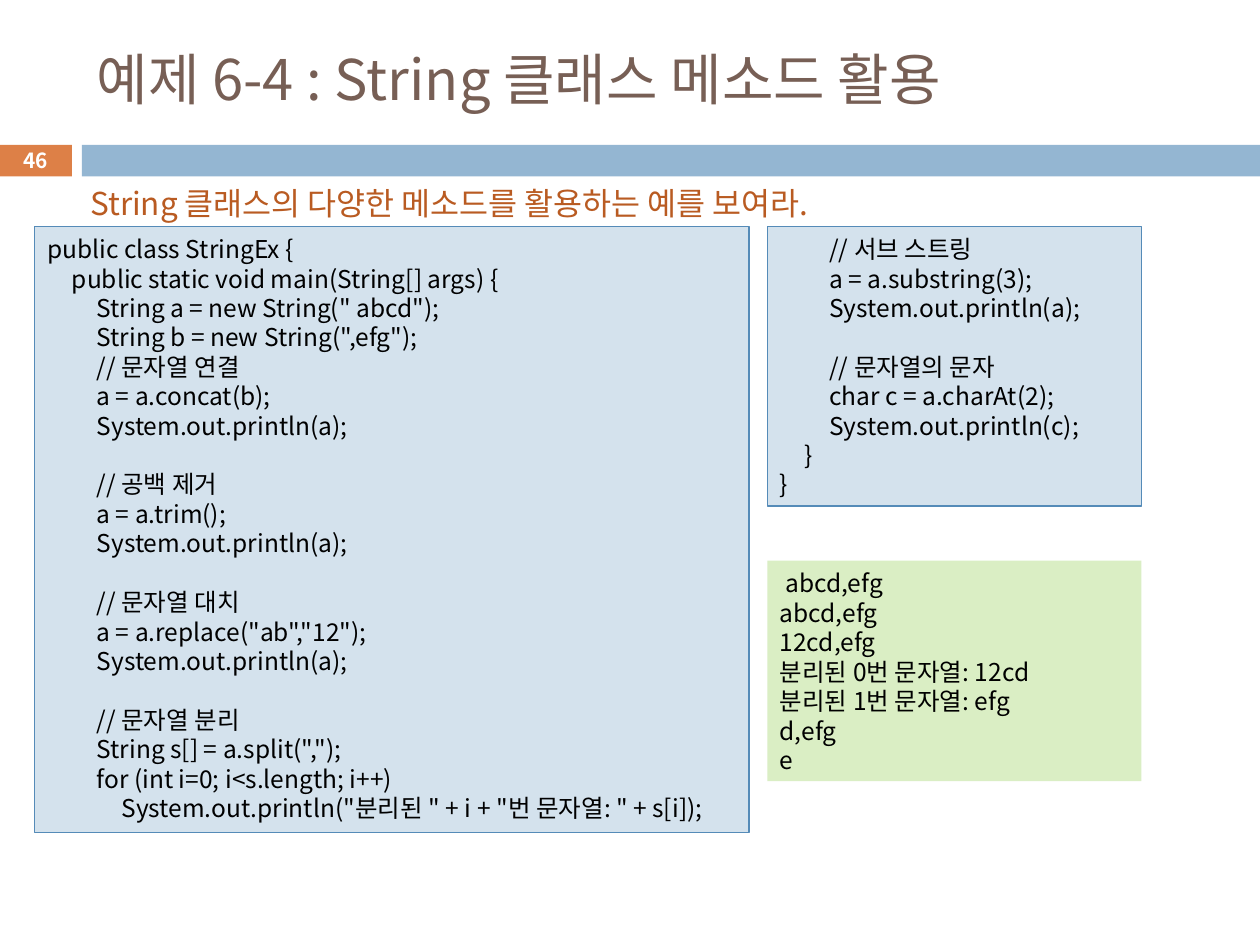
import pptx
import pptx.util
import pptx.dml.color
import pptx.enum.shapes
import pptx.enum.text
import pptx.oxml.ns
import lxml.etree

Cm, Pt = pptx.util.Cm, pptx.util.Pt
RGB = pptx.dml.color.RGBColor.from_string
MID = pptx.enum.text.MSO_ANCHOR.MIDDLE
TOP = pptx.enum.text.MSO_ANCHOR.TOP
LEFT = pptx.enum.text.PP_ALIGN.LEFT
MIDDLE = pptx.enum.text.PP_ALIGN.CENTER

FONT = "Noto Sans CJK KR"
HUES = {
    "orange": "DD8047", "band": "94B6D2", "title": "775F55",
    "lead": "B95B22", "code": "D4E2ED", "edge": "558BB8",
    "result": "DAEEC4", "ink": "000000", "white": "FFFFFF",
}
PITCH = 16.8  # line height of the code, in points
STEP = 0.5    # indent per code level, in cm

MAIN = '''public class StringEx {
\tpublic static void main(String[] args) {
\t\tString a = new String(" abcd");
\t\tString b = new String(",efg");
\t\t// 문자열 연결
\t\ta = a.concat(b);
\t\tSystem.out.println(a);

\t\t// 공백 제거
\t\ta = a.trim();
\t\tSystem.out.println(a);

\t\t// 문자열 대치
\t\ta = a.replace("ab","12");
\t\tSystem.out.println(a);

\t\t// 문자열 분리
\t\tString s[] = a.split(",");
\t\tfor (int i=0; i<s.length; i++)
\t\t\tSystem.out.println("분리된 " + i + "번 문자열: " + s[i]);'''

REST = '''\t\t// 서브 스트링
\t\ta = a.substring(3);
\t\tSystem.out.println(a);

\t\t// 문자열의 문자
\t\tchar c = a.charAt(2);
\t\tSystem.out.println(c);
\t}
}'''

RESULT = ''' abcd,efg
abcd,efg
12cd,efg
분리된 0번 문자열: 12cd
분리된 1번 문자열: efg
d,efg
e'''


def apply(target, values):
    for name, value in values.items():
        setattr(target, name, value)


class Page:
    def __init__(self, slide):
        self.slide = slide

    def words(self, para, text, size, hue, bold=False):
        """Add one run in the slide font."""
        run = para.add_run()
        run.text = text
        apply(run.font, {"name": FONT, "size": Pt(size), "bold": bold})
        run.font.color.rgb = RGB(HUES[hue])
        east = lxml.etree.Element(pptx.oxml.ns.qn("a:ea"), typeface=FONT)
        run.font._element.find(pptx.oxml.ns.qn("a:latin")).addnext(east)

    def block(self, box, hue, edge=None):
        """Add a plain rectangle."""
        shape = self.slide.shapes.add_shape(
            pptx.enum.shapes.MSO_SHAPE.RECTANGLE, *map(Cm, box))
        shape.shadow.inherit = False
        shape.fill.solid()
        shape.fill.fore_color.rgb = RGB(HUES[hue])
        if edge:
            shape.line.color.rgb = RGB(HUES[edge])
            shape.line.width = Pt(0.75)
        else:
            shape.line.fill.background()
        return shape

    def label(self, box, text, size, hue, align=LEFT, bold=False, wrap=True):
        """Add a single line of text, centred in height."""
        frame = self.slide.shapes.add_textbox(*map(Cm, box)).text_frame
        apply(frame, {"word_wrap": wrap, "vertical_anchor": MID})
        para = frame.paragraphs[0]
        para.alignment = align
        self.words(para, text, size, hue, bold)

    def listing(self, box, text, hue, edge=None):
        """Add a panel of lines; tabs become indents, gaps become spacing."""
        frame = self.block(box, hue, edge).text_frame
        apply(frame, {"word_wrap": True, "vertical_anchor": TOP,
                      "margin_top": Cm(0.16), "margin_right": 0})
        para, gap = frame.paragraphs[0], 0
        for line in text.split("\n"):
            if not line:
                gap += PITCH
                continue
            if para.runs:
                para = frame.add_paragraph()
            apply(para, {"alignment": LEFT, "line_spacing": Pt(PITCH),
                         "space_before": Pt(gap)})
            code = line.lstrip("\t")
            depth = len(line) - len(code)
            para._p.get_or_add_pPr().set("marL", str(Cm(depth * STEP)))
            self.words(para, code, 14, "ink")
            gap = 0


def main():
    deck = pptx.Presentation()
    apply(deck, {"slide_width": Cm(25.4), "slide_height": Cm(19.05)})
    page = Page(deck.slides.add_slide(deck.slide_layouts[6]))

    # Header band and page number
    page.block((-0.02, 2.92, 1.47, 0.64), "orange")
    page.block((1.65, 2.92, 23.75, 0.64), "band")
    page.label((-0.02, 2.88, 1.47, 0.68), "46", 11.9, "white", MIDDLE, True)

    # Title and task
    page.label((1.7, 0.64, 22.65, 1.88),
               "예제 6-4 : String 클래스 메소드 활용", 32, "title")
    page.label((1.57, 3.58, 16.3, 1.02),
               "String 클래스의 다양한 메소드를 활용하는 예를 보여라.",
               18, "lead", wrap=False)

    # Code in two panels, then its output
    page.listing((0.7, 4.56, 14.4, 12.22), MAIN, "code", "edge")
    page.listing((15.47, 4.56, 7.54, 5.64), REST, "code", "edge")
    page.listing((15.47, 11.3, 7.54, 4.45), RESULT, "result")

    deck.save("out.pptx")


if __name__ == "__main__":
    main()
